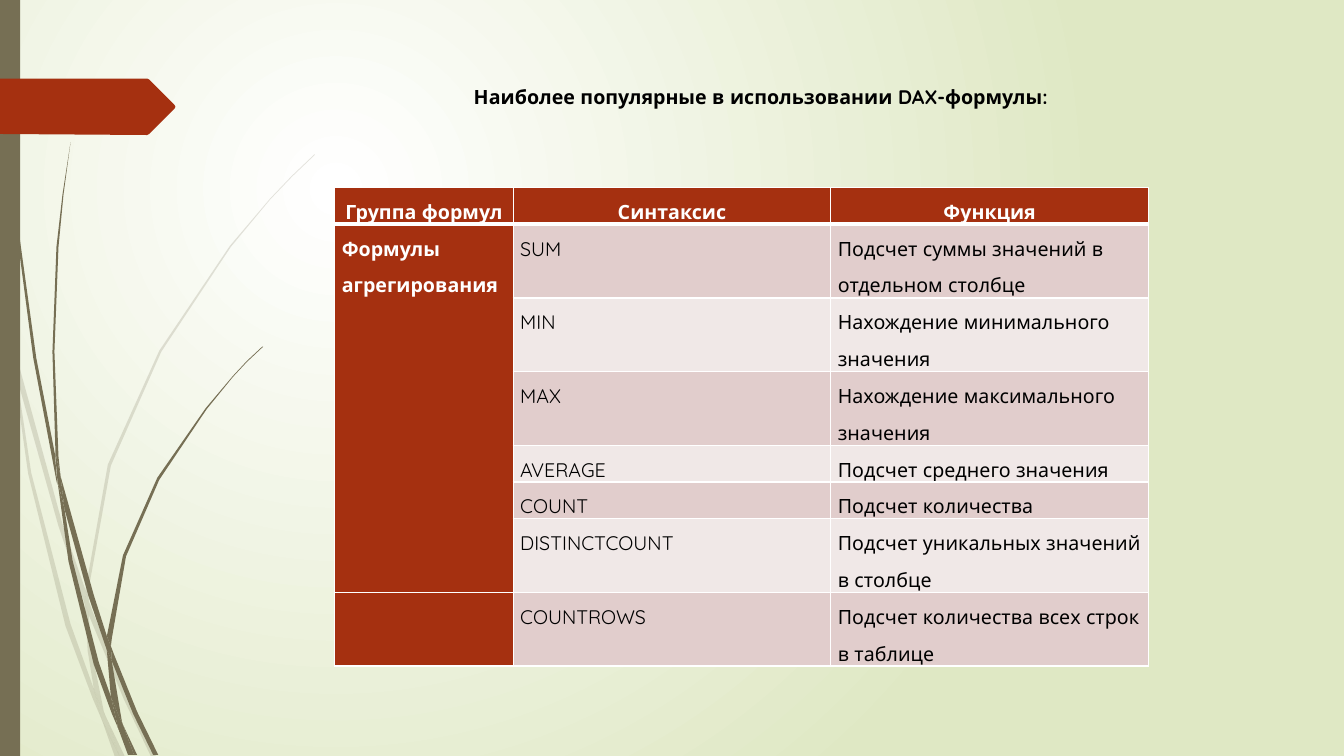
from pptx import Presentation
from pptx.dml.color import RGBColor
from pptx.enum.shapes import MSO_SHAPE as Shape
from pptx.enum.text import MSO_ANCHOR as Anchor, MSO_AUTO_SIZE as AutoSize, PP_ALIGN as Align
from pptx.oxml.ns import qn
from pptx.util import Emu, Pt
from lxml.etree import SubElement

PX = 9144  # 100 px to the inch
OLIVE, RUST, WHITE, BLACK = "766F54", "A53010", "FFFFFF", "000000"
BANDS = ["E1CDCC", "F0E8E7"]
FONT = {"name": "Quicksand", "size": Pt(14)}

# Grass outlines: corner points of each piece in px
PALE_GRASS = [
    [(11, 350), (9, 322), (0, 282), (0, 299), (10, 344)],
    [(58, 522), (84, 599), (85, 586), (62, 520), (14, 345), (17, 376)],
    [(92, 607), (88, 596), (88, 610), (123, 694), (150, 751), (155, 751), (127, 692)],
    [(119, 751), (124, 751), (105, 711)],
    [(93, 683), (70, 619), (31, 469), (17, 376), (11, 350), (28, 470), (65, 621),
     (92, 693), (101, 714), (99, 707)],
    [(84, 599), (87, 646), (93, 683), (96, 692), (105, 711), (103, 706), (91, 646),
     (88, 610), (88, 608)],
    [(88, 584), (110, 462), (160, 349), (229, 245), (268, 198), (290, 175), (312, 154),
     (312, 153), (289, 175), (268, 197), (228, 244), (158, 348), (107, 461), (85, 584),
     (85, 586), (88, 596)],
    [(101, 714), (114, 751), (119, 751)],
    [(88, 608), (88, 610), (88, 596), (85, 586), (84, 599)],
    [(96, 692), (93, 683), (99, 707), (101, 714), (119, 751), (105, 711)],
]
DARK_GRASS = [
    [(7, 110), (17, 233), (33, 355), (56, 477), (57, 481), (55, 457), (55, 453),
     (36, 355), (19, 232), (8, 109), (5, 48), (4, 0), (3, 0), (4, 48)],
    [(88, 592), (106, 645), (106, 631), (93, 590), (60, 472), (64, 505)],
    [(113, 649), (110, 641), (111, 656), (132, 708), (152, 749), (157, 749), (136, 706)],
    [(110, 691), (98, 657), (72, 556), (64, 505), (57, 477), (68, 557), (93, 659),
     (111, 708), (117, 722), (116, 717)],
    [(60, 472), (58, 453), (54, 349), (58, 245), (63, 193), (70, 141), (62, 193),
     (56, 245), (52, 349), (55, 449)],
    [(133, 749), (136, 749), (122, 719)],
    [(57, 477), (64, 505), (60, 472), (55, 449), (55, 453)],
    [(111, 633), (125, 552), (158, 476), (205, 406), (231, 374), (245, 359), (261, 344),
     (260, 344), (245, 358), (231, 373), (204, 405), (156, 474), (122, 551), (106, 631),
     (110, 641)],
    [(117, 722), (127, 749), (131, 749)],
    [(106, 645), (110, 691), (116, 706), (122, 719), (121, 716), (111, 656), (109, 651)],
    [(106, 645), (109, 651), (111, 656), (110, 641), (106, 631)],
    [(116, 706), (110, 691), (116, 717), (117, 722), (130, 749), (133, 749), (122, 719)],
]
ARROW = [(0, 78), (146, 78), (148, 79), (173, 104), (174, 106), (173, 108), (148, 133),
         (146, 134), (0, 133)]

# Table content
COLUMNS = [177, 315, 315]
ROWS = [31, 66, 66, 66, 31, 31, 66, 66]
HEADERS = ["Группа формул", "Синтаксис", "Функция"]
GROUP = "Формулы агрегирования"
FORMULAS = [
    ("SUM", "Подсчет суммы значений в отдельном столбце"),
    ("MIN", "Нахождение минимального значения"),
    ("MAX", "Нахождение максимального значения"),
    ("AVERAGE", "Подсчет среднего значения"),
    ("COUNT", "Подсчет количества"),
    ("DISTINCTCOUNT", "Подсчет уникальных значений в столбце"),
    ("COUNTROWS", "Подсчет количества всех строк в таблице"),
]


def px(value):
    return Emu(value * PX)


def color(hex_value):
    return RGBColor.from_string(hex_value)


def set_all(target, values):
    for name, value in values.items():
        setattr(target, name, value)


def paint(shape, fill, opacity=100):
    shape.shadow.inherit = False
    shape.fill.solid()
    shape.fill.fore_color.rgb = color(fill)
    shape.line.fill.background()
    if opacity < 100:
        solid = shape.fill.fore_color, shape.element.spPr.find(qn("a:solidFill"))
        SubElement(solid[1][0], qn("a:alpha"), val=str(opacity * 1000))


def add_outline(slide, points, fill, opacity=100):
    builder = slide.shapes.build_freeform(*points[0], scale=PX)
    builder.add_line_segments(points[1:], close=True)
    paint(builder.convert_to_shape(), fill, opacity)


def set_background(slide):
    fill = slide.background.fill
    fill.gradient()
    for stop, hex_value in zip(fill.gradient_stops, [WHITE, "DFE8C4"]):
        stop.color.rgb = color(hex_value)
    gradient = slide.element.find(".//" + qn("a:gradFill"))
    gradient.remove(gradient.find(qn("a:lin")))
    circle = SubElement(gradient, qn("a:path"), path="circle")
    SubElement(circle, qn("a:fillToRect"), l="50000", t="50000", r="100000", b="100000")


def write(paragraph, text, hex_value, bold, align):
    paragraph.text = text
    set_all(paragraph, {"alignment": align, "line_spacing": 1.5})
    set_all(paragraph.font, {**FONT, "bold": bold})
    paragraph.font.color.rgb = color(hex_value)


def fill_heading(body, text):
    set_all(body, {"left": px(248), "top": px(68), "width": px(975), "height": px(662)})
    set_all(body.text_frame, {"auto_size": AutoSize.NONE, "word_wrap": True,
                              "vertical_anchor": Anchor.TOP})
    paragraph = body.text_frame.paragraphs[0]
    properties = paragraph._p.get_or_add_pPr()
    properties.set("marL", str(px(38)))
    properties.set("indent", "0")
    SubElement(properties, qn("a:buNone"))
    write(paragraph, text, BLACK, True, Align.CENTER)
    paragraph.space_before = Pt(0)


def style_cell(cell, fill, bottom=1):
    set_all(cell, {"margin_left": px(7), "margin_right": px(7),
                   "margin_top": 0, "margin_bottom": 0})
    properties = cell._tc.get_or_add_tcPr()
    for side, width in {"L": 1, "R": 1, "T": 1, "B": bottom}.items():
        line = SubElement(properties, qn("a:ln" + side), w=str(Pt(width)))
        SubElement(SubElement(line, qn("a:solidFill")), qn("a:srgbClr"), val=WHITE)
    cell.fill.solid()
    cell.fill.fore_color.rgb = color(fill)


def add_formula_table(slide):
    frame = slide.shapes.add_table(len(ROWS), len(COLUMNS), px(332), px(186),
                                   px(sum(COLUMNS)), px(sum(ROWS)))
    table = frame.table
    for column, width in zip(table.columns, COLUMNS):
        column.width = px(width)
    for row, height in zip(table.rows, ROWS):
        row.height = px(height)

    # Header row and group column
    for index, text in enumerate(HEADERS):
        cell = table.cell(0, index)
        style_cell(cell, RUST, bottom=3)
        write(cell.text_frame.paragraphs[0], text, WHITE, True, Align.CENTER)
    for row in range(1, len(ROWS)):
        style_cell(table.cell(row, 0), RUST)
    group = table.cell(1, 0)
    group.merge(table.cell(6, 0))
    write(group.text_frame.paragraphs[0], GROUP, WHITE, True, Align.LEFT)

    # Banded formula rows
    for row, texts in enumerate(FORMULAS, 1):
        for column, text in enumerate(texts, 1):
            cell = table.cell(row, column)
            style_cell(cell, BANDS[(row - 1) % 2])
            write(cell.text_frame.paragraphs[0], text, BLACK, False, Align.LEFT)


def main():
    presentation = Presentation()
    set_all(presentation, {"slide_width": px(1333), "slide_height": px(750)})
    slide = presentation.slides.add_slide(presentation.slide_layouts[1])
    set_background(slide)

    # Heading; the title placeholder is not needed
    title = slide.shapes.title.element
    title.getparent().remove(title)
    fill_heading(slide.placeholders[1], "Наиболее популярные в использовании DAX-формулы:")

    # Grass, side bar and arrow
    for points in PALE_GRASS:
        add_outline(slide, points, OLIVE, opacity=20)
    for points in DARK_GRASS:
        add_outline(slide, points, OLIVE)
    paint(slide.shapes.add_shape(Shape.RECTANGLE, 0, 0, px(20), px(750)), OLIVE)
    add_outline(slide, ARROW, RUST)

    add_formula_table(slide)
    presentation.save("out.pptx")


if __name__ == "__main__":
    main()
